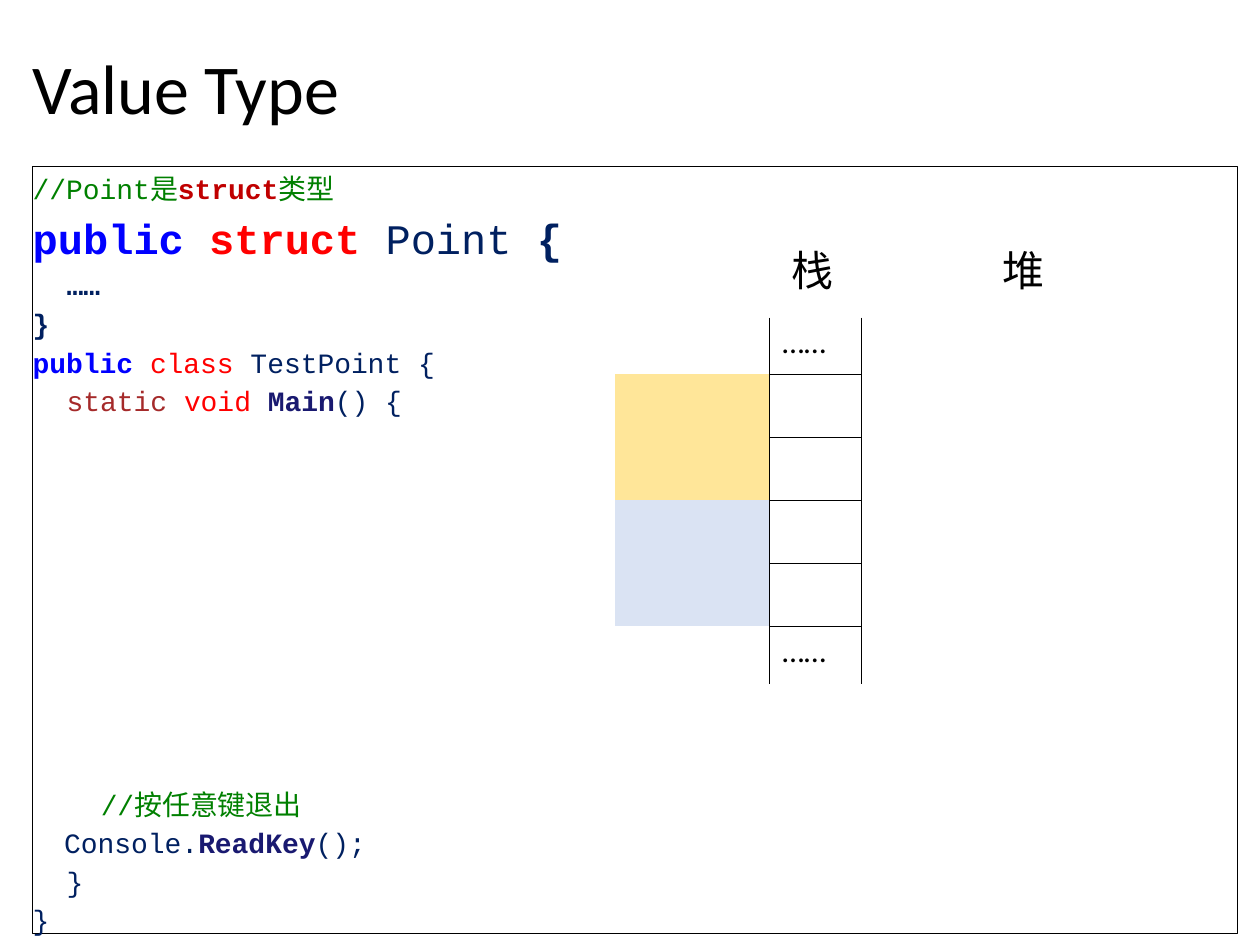
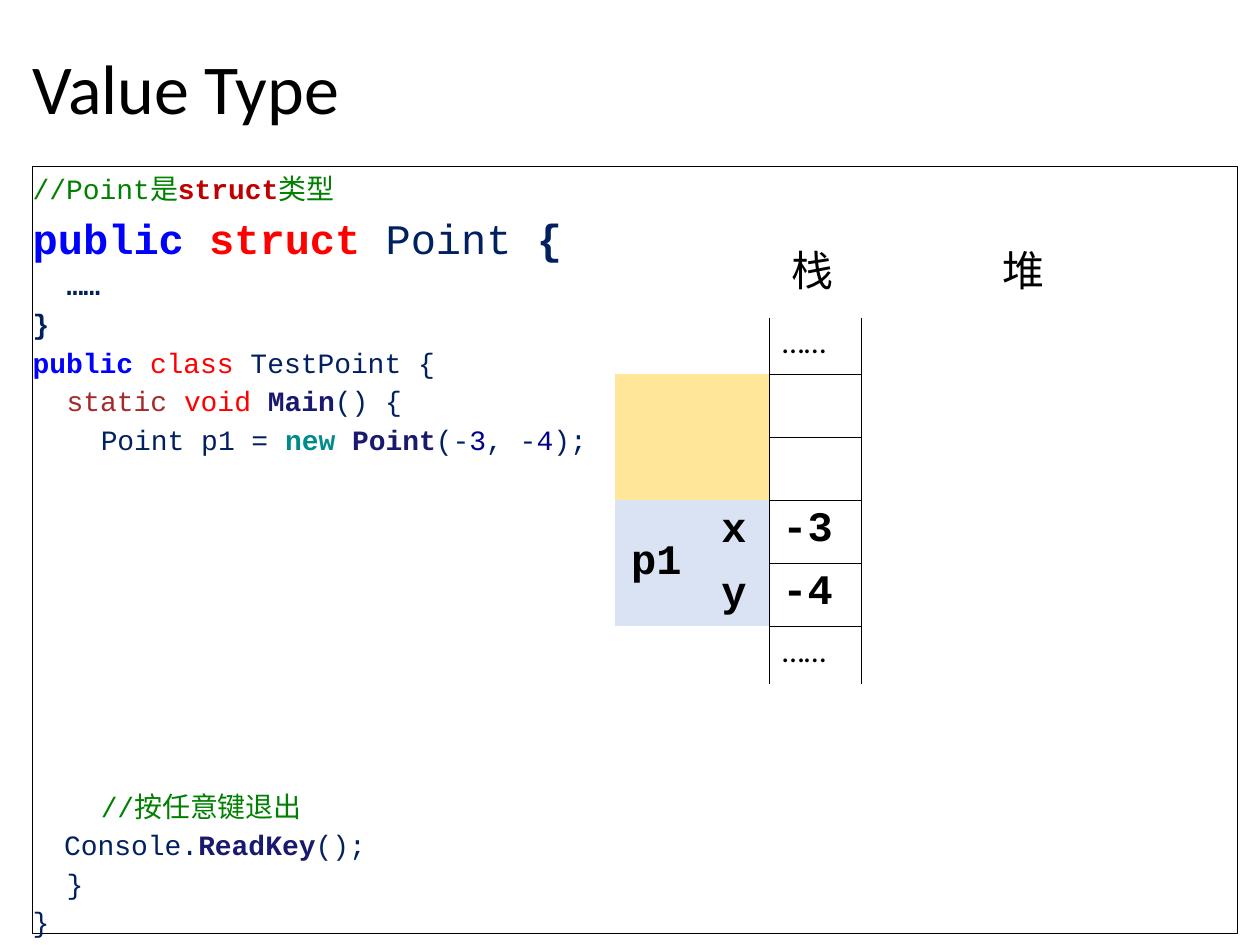
"""Builds two slides that show how a value type is laid out on the stack."""
from dataclasses import dataclass

from lxml import etree
from pptx import Presentation
from pptx import util as u
from pptx.dml.color import RGBColor
from pptx.enum import shapes, text
from pptx.oxml.ns import qn


@dataclass(frozen=True)
class Theme:
    black: str = "000000"
    comment: str = "008000"
    alert: str = "C00000"
    access: str = "0000FF"
    keyword: str = "FF0000"
    plain: str = "002060"
    modifier: str = "A52A2A"
    method: str = "191970"
    operator: str = "008B8B"
    number: str = "00008B"
    yellow: str = "FFE699"
    blue: str = "DAE3F3"
    sans: str = "Calibri"
    mono: str = "Courier New"
    cjk: str = "Noto Sans CJK SC"
    title_size: int = 40
    large_size: int = 24
    dots_size: int = 18
    code_size: int = 16
    code_spacing: float = 1.15
    code_line: float = 20.85
    frame_line: float = 0.75
    cell_line: float = 0.45


T = Theme()
BODY_LINES = 10
INDENT = 0.27
COLUMNS = [0.66, 0.57, 0.73]
ROWS = [0.45, 0.5, 0.5, 0.5, 0.5, 0.46]
VALUE_COLUMN = 2
BLOCKS = {1: T.yellow, 3: T.blue}

HEAD = [
    (0, [("//Point是", T.comment), ("struct", T.alert, True), ("类型", T.comment)]),
    (0, [("public ", T.access, True), ("struct", T.keyword, True),
         (" Point ", T.plain), ("{", T.plain, True)]),
    (INDENT, [("……", T.plain, True)]),
    (0, [("}", T.plain, True)]),
    (0, [("public ", T.access, True), ("class", T.keyword), (" TestPoint {", T.plain)]),
    (INDENT, [("static ", T.modifier), ("void ", T.keyword),
              ("Main", T.method, True), ("() {", T.plain)]),
]
NEW_POINT = (2 * INDENT, [
    ("Point p1 = ", T.plain), ("new ", T.operator, True), ("Point", T.method, True),
    ("(-", T.plain), ("3", T.number), (", -", T.plain), ("4", T.number), (");", T.plain)])
TAIL = [
    (2 * INDENT, [("//按任意键退出", T.comment)]),
    (0.25, [("Console.", T.plain), ("ReadKey", T.method, True), ("();", T.plain)]),
    (INDENT, [("}", T.plain)]),
    (0, [("}", T.plain)]),
]
LARGE_LINE = 1
DOTS = {(0, VALUE_COLUMN): "……", (len(ROWS) - 1, VALUE_COLUMN): "……"}
P1 = {(3, 0): "p1", (3, 1): "x", (4, 1): "y", (3, 2): "-3", (4, 2): "-4"}


class Deck:
    def __init__(self, theme):
        self.t = theme
        self.prs = Presentation()
        self.prs.slide_width, self.prs.slide_height = u.Inches(10), u.Inches(7.5)
        self.s = None

    def add_slide(self):
        self.s = self.prs.slides.add_slide(self.prs.slide_layouts[6])

    def style(self, r, size, font, color, bold=False):
        r.font.size, r.font.name, r.font.bold = u.Pt(size), font, bold
        r.font.color.rgb = RGBColor.from_string(color)
        etree.SubElement(r.font._element, qn("a:ea"), typeface=font)

    def label(self, words, left, top, width, height, size, font, spacing=1.0,
              anchor=text.MSO_ANCHOR.TOP):
        sp = self.s.shapes.add_textbox(*map(u.Inches, (left, top, width, height)))
        tf = sp.text_frame
        tf.word_wrap, tf.vertical_anchor = True, anchor
        p = tf.paragraphs[0]
        p.text, p.line_spacing = words, spacing
        self.style(p.runs[0], size, font, self.t.black)

    def code(self, statements):
        sp = self.s.shapes.add_shape(
            shapes.MSO_SHAPE.RECTANGLE, *map(u.Inches, (0.26, 1.32, 9.56, 6.09)))
        sp.shadow.inherit = False
        sp.fill.background()
        sp.line.color.rgb = RGBColor.from_string(self.t.black)
        sp.line.width = u.Pt(self.t.frame_line)
        tf = sp.text_frame
        tf.word_wrap, tf.vertical_anchor = True, text.MSO_ANCHOR.TOP
        tf.margin_left = tf.margin_top = tf.margin_right = tf.margin_bottom = 0
        gap = (BODY_LINES - len(statements)) * self.t.code_line
        tail_start = len(HEAD) + len(statements)
        for i, (indent, parts) in enumerate(HEAD + statements + TAIL):
            p = tf.add_paragraph() if i else tf.paragraphs[0]
            p.alignment, p.line_spacing = text.PP_ALIGN.LEFT, self.t.code_spacing
            p.space_before = u.Pt(gap if i == tail_start else 0)
            p._p.get_or_add_pPr().set("marL", str(u.Inches(indent)))
            size = self.t.large_size if i == LARGE_LINE else self.t.code_size
            for words, *look in parts:
                r = p.add_run()
                r.text = words
                self.style(r, size, self.t.mono, *look)

    def borders(self, cell, drawn):
        tcPr = cell._tc.get_or_add_tcPr()
        for side in "LRTB":
            ln = etree.SubElement(tcPr, qn(f"a:ln{side}"), w=str(u.Pt(self.t.cell_line)))
            if side in drawn:
                fill = etree.SubElement(ln, qn("a:solidFill"))
                etree.SubElement(fill, qn("a:srgbClr"), val=self.t.black)
            else:
                etree.SubElement(ln, qn("a:noFill"))

    def cell_text(self, cell, words, centred):
        p = cell.text_frame.paragraphs[0]
        p.text = words
        if centred:
            p.alignment, cell.vertical_anchor = text.PP_ALIGN.CENTER, text.MSO_ANCHOR.MIDDLE
        if words == "……":
            self.style(p.runs[0], self.t.dots_size, self.t.sans, self.t.black)
        else:
            self.style(p.runs[0], self.t.large_size, self.t.mono, self.t.black, True)

    def stack(self, contents):
        last = len(ROWS) - 1
        table = self.s.shapes.add_table(
            len(ROWS), len(COLUMNS),
            *map(u.Inches, (4.88, 2.52, sum(COLUMNS), sum(ROWS)))).table
        table.first_row = table.horz_banding = False
        for column, width in zip(table.columns, COLUMNS):
            column.width = u.Inches(width)
        for row, height in zip(table.rows, ROWS):
            row.height = u.Inches(height)
        for row in (0, last):
            table.cell(row, 0).merge(table.cell(row, 1))
        for row in BLOCKS:
            table.cell(row, 0).merge(table.cell(row + 1, 0))
        for row in range(len(ROWS)):
            color = BLOCKS.get(row) or BLOCKS.get(row - 1)
            for col in range(len(COLUMNS)):
                cell = table.cell(row, col)
                if col == VALUE_COLUMN:
                    drawn = "LR" + "T" * (row > 0) + "B" * (row < last)
                else:
                    drawn = "R" if col == 1 or row in (0, last) else ""
                self.borders(cell, drawn)
                if color and col != VALUE_COLUMN:
                    cell.fill.solid()
                    cell.fill.fore_color.rgb = RGBColor.from_string(color)
                else:
                    cell.fill.background()
                if (row, col) in contents:
                    self.cell_text(cell, contents[row, col], col != VALUE_COLUMN)

    def value_type(self, statements, variables):
        self.add_slide()
        self.label("Value Type", 0.16, 0.13, 9.74, 1.2, self.t.title_size, self.t.sans,
                   0.9, text.MSO_ANCHOR.MIDDLE)
        self.code(statements)
        for words, left in (("栈", 6.18), ("堆", 7.86)):
            self.label(words, left, 1.89, 1, 0.5, self.t.large_size, self.t.cjk)
        self.stack({**DOTS, **variables})


def main():
    deck = Deck(T)
    deck.value_type([], {})
    deck.value_type([NEW_POINT], P1)
    deck.prs.save("out.pptx")


if __name__ == "__main__":
    main()
